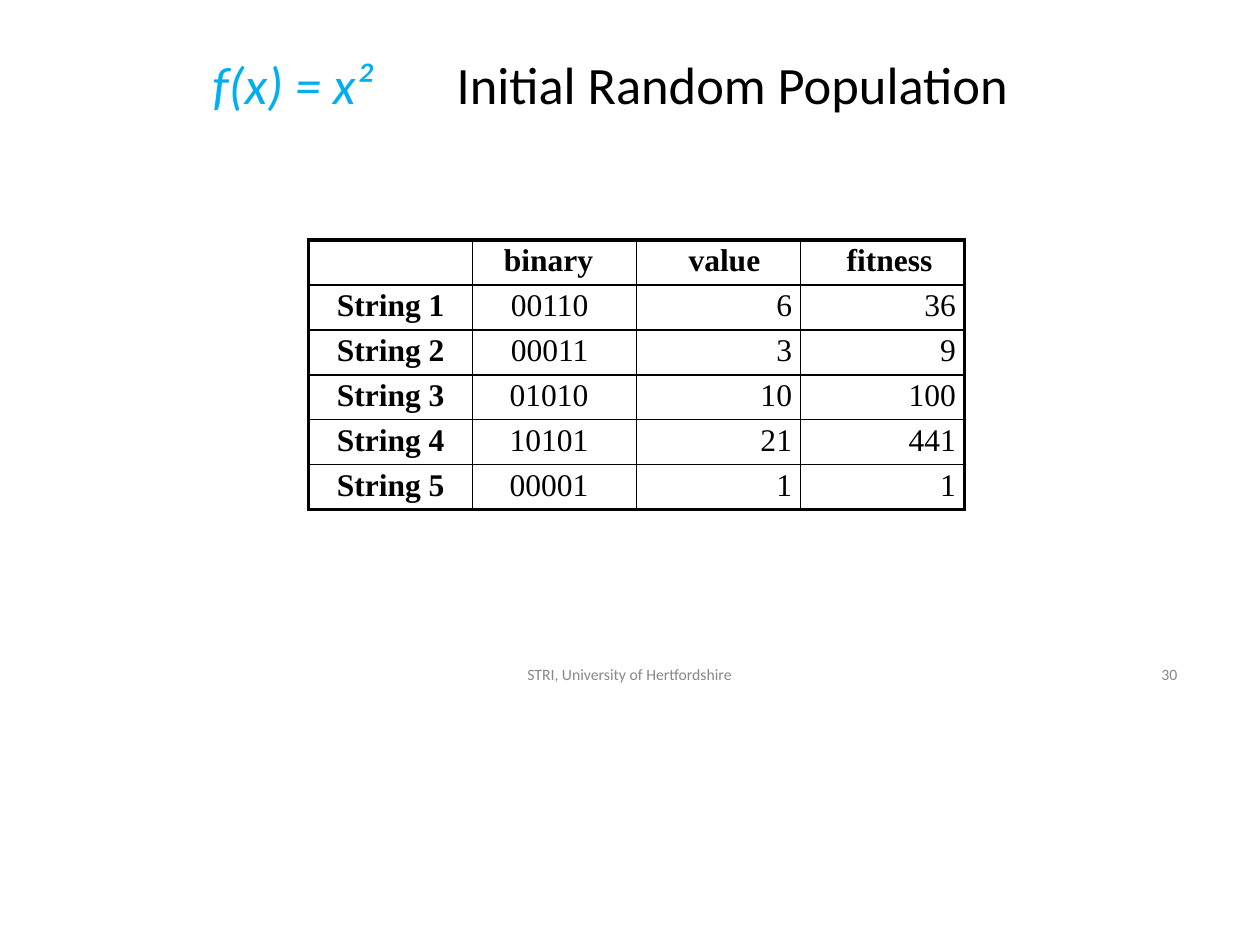
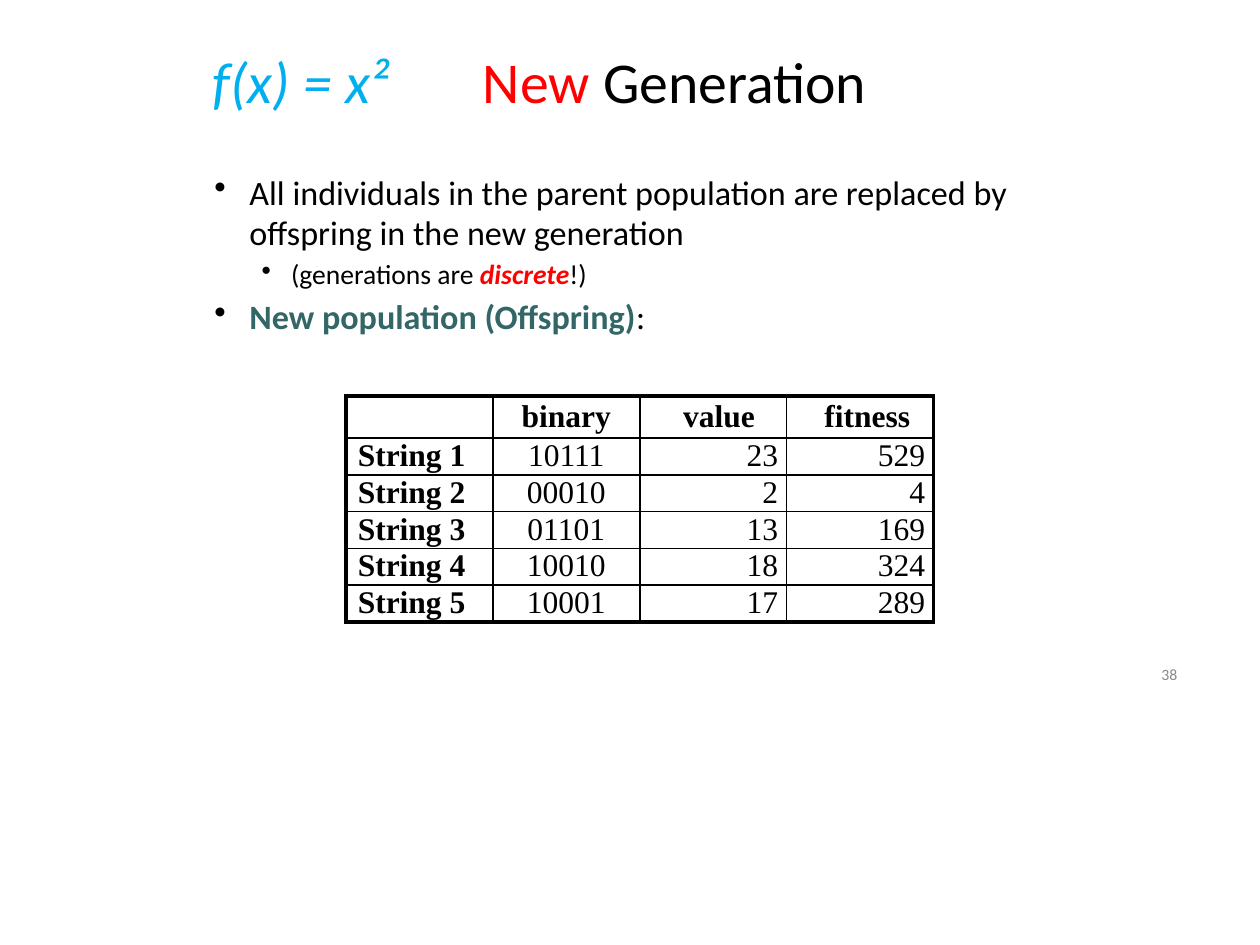
import pptx
import pptx.dml.color
import pptx.enum.text
import pptx.oxml.ns
import pptx.util
from lxml import etree

COLORS = {
    "ink": "000000",
    "formula": "00AFEF",
    "accent": "FF0000",
    "heading": "336666",
    "footer": "888888",
}
BODY_FONT = "Calibri"
TABLE_FONT = "Times New Roman"
COLUMNS, ROWS = 80, 60
UNIT = pptx.util.Inches(1 / 6)
TITLE_LEFT = 13.5
FOOTER_TOP = 42.4
THIN, THICK = 1.5, 3
HEADINGS = ["", "binary", "value", "fitness"]

LEFT = pptx.enum.text.PP_ALIGN.LEFT
CENTER = pptx.enum.text.PP_ALIGN.CENTER
RIGHT = pptx.enum.text.PP_ALIGN.RIGHT


def grid(units):
    return pptx.util.Emu(round(units * UNIT))


def rgb(color):
    return pptx.dml.color.RGBColor.from_string(COLORS[color])


def add_child(parent, tag, **attributes):
    child = etree.SubElement(parent, pptx.oxml.ns.qn(tag))
    for name, value in attributes.items():
        child.set(name, str(value))
    return child


def style_font(font, size, name=BODY_FONT, color="ink"):
    font.name = name
    font.size = pptx.util.Pt(size)
    font.color.rgb = rgb(color)


def add_runs(paragraph, runs, size):
    for text, color, bold, italic in runs:
        run = paragraph.add_run()
        run.text = text
        style_font(run.font, size, color=color)
        run.font.bold = bold
        run.font.italic = italic


def add_text_frame(slide, left, top, width, height, inset=0.02):
    box = slide.shapes.add_textbox(grid(left), grid(top), grid(width), grid(height))
    frame = box.text_frame
    frame.word_wrap = True
    frame.margin_left = frame.margin_right = frame.margin_bottom = 0
    frame.margin_top = pptx.util.Inches(inset)
    return frame


def add_title(slide, left, top, width, size, runs, tab=None):
    frame = add_text_frame(slide, left, top, width, size / 10)
    paragraph = frame.paragraphs[0]
    if tab:
        tabs = add_child(paragraph._p.get_or_add_pPr(), "a:tabLst")
        add_child(tabs, "a:tab", pos=grid(tab), algn="l")
    add_runs(paragraph, runs, size)


def add_footer(slide, left, width, text):
    frame = add_text_frame(slide, left, FOOTER_TOP, width, 1, inset=0)
    paragraph = frame.paragraphs[0]
    paragraph.text = text
    paragraph.line_spacing = pptx.util.Pt(12.4)
    style_font(paragraph.font, 12, color="footer")


def add_page_number(slide, number):
    add_footer(slide, 73.74, 2, number)


def add_bullets(slide, left, top, width, height, items):
    frame = add_text_frame(slide, left, top, width, height, inset=0.07)
    for index, (level, runs) in enumerate(items):
        paragraph = frame.add_paragraph() if index else frame.paragraphs[0]
        margin, hanging, size = [(0.39, 0.37, 26), (0.83, 0.31, 21)][level]
        properties = paragraph._p.get_or_add_pPr()
        properties.set("marL", str(pptx.util.Inches(margin)))
        properties.set("indent", str(-pptx.util.Inches(hanging)))
        bullet_color = add_child(properties, "a:buClr")
        add_child(bullet_color, "a:srgbClr", val=COLORS["ink"])
        add_child(properties, "a:buChar", char="•")
        paragraph.level = level
        if index:
            paragraph.space_before = pptx.util.Pt(4)
        else:
            paragraph.line_spacing = pptx.util.Pt(30.5)
        add_runs(paragraph, runs, size)


def set_borders(cell, widths):
    properties = cell._tc.get_or_add_tcPr()
    for side, width in zip("LRTB", widths):
        line = add_child(properties, f"a:ln{side}", w=pptx.util.Pt(width))
        fill = add_child(line, "a:solidFill")
        add_child(fill, "a:srgbClr", val=COLORS["ink"])


def fill_cell(cell, text, layout, bold, line_spacing):
    alignment, left, right = layout
    cell.margin_left = pptx.util.Inches(left)
    cell.margin_right = pptx.util.Inches(right)
    cell.margin_top = pptx.util.Inches(0.04)
    cell.margin_bottom = 0
    paragraph = cell.text_frame.paragraphs[0]
    paragraph.text = text
    paragraph.alignment = alignment
    if line_spacing:
        paragraph.line_spacing = pptx.util.Pt(line_spacing)
    style_font(paragraph.font, 24, TABLE_FONT)
    paragraph.font.bold = bold


def add_population(slide, left, top, column, header, row, population,
                   header_layouts, body_layouts, line_spacing=None):
    strings = [[f"String {number}", binary, str(int(binary, 2)), str(int(binary, 2) ** 2)]
               for number, binary in enumerate(population, 1)]
    content = [HEADINGS] + strings
    last_row, last_column = len(content) - 1, len(HEADINGS) - 1
    frame = slide.shapes.add_table(
        len(content), len(HEADINGS), grid(left), grid(top),
        grid(column * len(HEADINGS)), grid(header + row * last_row))
    table = frame.table
    table.first_row = table.horz_banding = False
    for table_column in table.columns:
        table_column.width = grid(column)
    for i, texts in enumerate(content):
        table.rows[i].height = grid(row if i else header)
        layouts = body_layouts if i else header_layouts
        for j, text in enumerate(texts):
            cell = table.cell(i, j)
            fill_cell(cell, text, layouts[j], i == 0 or j == 0, line_spacing if i else None)
            edges = (j == 0, j == last_column, i == 0, i == last_row)
            set_borders(cell, [THICK if edge else THIN for edge in edges])
            cell.fill.background()


def add_initial_population(slide):
    add_title(slide, TITLE_LEFT, 3.2, 11, 40, [("f(x) = x²", "formula", False, True)])
    add_title(slide, 29, 3.2, 36, 40, [("Initial Random Population", "ink", False, False)])
    add_population(
        slide, 19.6, 15.24, 10.41, 2.85, 2.85,
        ["00110", "00011", "01010", "10101", "00001"],
        [(CENTER, 0, 0), (RIGHT, 0, 0.46), (LEFT, 0.55, 0), (LEFT, 0.49, 0)],
        [(CENTER, 0, 0), (RIGHT, 0, 0.51), (RIGHT, 0, 0.09), (RIGHT, 0, 0.09)])
    add_footer(slide, 33.48, 14, "STRI, University of Hertfordshire")
    add_page_number(slide, "30")


def add_new_generation(slide):
    add_title(slide, TITLE_LEFT, 2.76, 48, 44, [
        ("f(x) = x²\t", "formula", False, True),
        ("New ", "accent", False, False),
        ("Generation", "ink", False, False),
    ], tab=17.16)
    add_bullets(slide, TITLE_LEFT, 10.5, 51.5, 10.74, [
        (0, [("All individuals in the parent population are replaced by "
              "offspring in the new generation", "ink", False, False)]),
        (1, [("(generations are ", "ink", False, False),
             ("discrete", "accent", True, True),
             ("!)", "ink", False, False)]),
        (0, [("New population (Offspring)", "heading", True, False),
             (":", "ink", False, False)]),
    ])
    add_population(
        slide, 21.96, 25.14, 9.33, 2.66, 2.34,
        ["10111", "00010", "01101", "10010", "10001"],
        [(CENTER, 0, 0), (CENTER, 0, 0), (LEFT, 0.46, 0), (LEFT, 0.4, 0)],
        [(RIGHT, 0, 0.29), (CENTER, 0, 0), (RIGHT, 0, 0.09), (RIGHT, 0, 0.09)],
        line_spacing=24)
    add_page_number(slide, "38")


def main():
    presentation = pptx.Presentation()
    presentation.slide_width = grid(COLUMNS)
    presentation.slide_height = grid(ROWS)
    blank = presentation.slide_layouts[6]
    for build in (add_initial_population, add_new_generation):
        build(presentation.slides.add_slide(blank))
    presentation.save("out.pptx")


if __name__ == "__main__":
    main()
